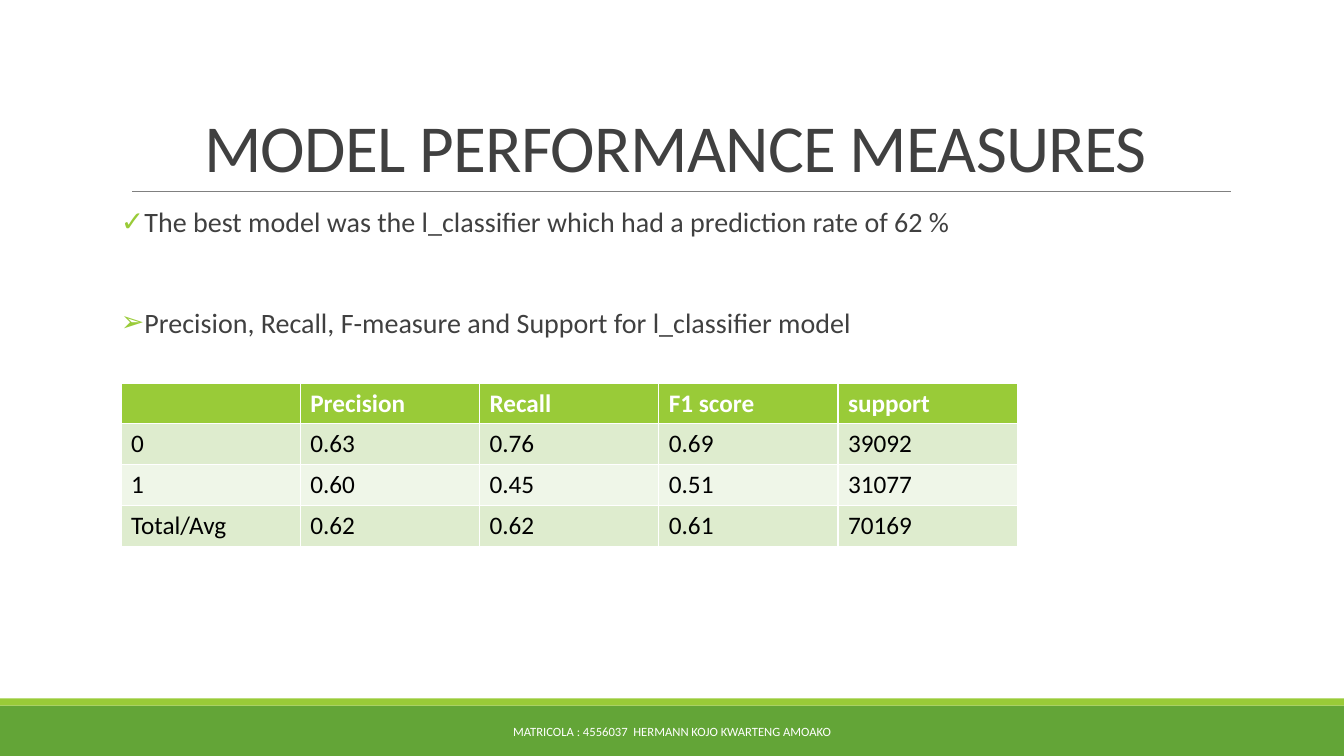
"""Build the model performance measures slide."""
import pptx
import pptx.dml.color
import pptx.enum.shapes
import pptx.enum.text
import pptx.oxml.ns
import pptx.util
import lxml.etree
from pptx.util import Inches

FONT = "Calibri"
COLORS = {
    "green": "63A537",
    "lime": "99CB38",
    "rule": "808080",
    "text": "404040",
    "white": "FFFFFF",
    "black": "000000",
    "band_dark": "DEECCE",
    "band_light": "EFF6E8",
}
BULLETS = [
    ("✓", "The best model was the l_classifier which had a prediction rate of 62 %", 12),
    ("➢", "Precision, Recall, F-measure and Support for l_classifier model", 48),
]
SCORES = [
    ["", "Precision", "Recall", "F1 score", "support"],
    ["0", "0.63", "0.76", "0.69", "39092"],
    ["1", "0.60", "0.45", "0.51", "31077"],
    ["Total/Avg", "0.62", "0.62", "0.61", "70169"],
]


def rgb(name):
    return pptx.dml.color.RGBColor.from_string(COLORS[name])


def add_xml(parent, tag, **attributes):
    return lxml.etree.SubElement(parent, pptx.oxml.ns.qn(tag), attributes)


def style(p, size, color, bold=False):
    for r in p.runs:
        r.font.name = FONT
        r.font.size = pptx.util.Pt(size)
        r.font.bold = bold
        r.font.color.rgb = rgb(color)


def place(sp, left, top, width, height):
    sp.left, sp.top = Inches(left), Inches(top)
    sp.width, sp.height = Inches(width), Inches(height)


def add_band(slide, top, height, color):
    sp = slide.shapes.add_shape(pptx.enum.shapes.MSO_SHAPE.RECTANGLE, 0,
                                Inches(top), Inches(13.33), Inches(height))
    sp.shadow.inherit = False
    sp.fill.solid()
    sp.fill.fore_color.rgb = rgb(color)
    sp.line.fill.background()


def add_rule(slide, left, right, y):
    line = slide.shapes.add_connector(pptx.enum.shapes.MSO_CONNECTOR.STRAIGHT,
                                      Inches(left), Inches(y), Inches(right), Inches(y))
    line.line.color.rgb = rgb("rule")
    line.line.width = pptx.util.Pt(0.5)
    add_xml(line._element.spPr, "a:effectLst")


def set_title(slide, text):
    sp = slide.shapes.title
    place(sp, 1.2, 0.31, 11, 1.59)
    tf = sp.text_frame
    tf.text = text
    tf.auto_size = pptx.enum.text.MSO_AUTO_SIZE.NONE
    tf.vertical_anchor = pptx.enum.text.MSO_ANCHOR.BOTTOM
    p = tf.paragraphs[0]
    p.alignment = pptx.enum.text.PP_ALIGN.CENTER
    p.line_spacing = 0.85
    style(p, 48, "text")
    p.runs[0]._r.get_or_add_rPr().set("spc", "-50")


def set_bullet(p, char):
    pPr = p._p.get_or_add_pPr()
    pPr.set("marL", str(Inches(0.1)))
    pPr.set("indent", str(Inches(-0.1)))
    add_xml(add_xml(pPr, "a:buClr"), "a:srgbClr", val=COLORS["lime"])
    add_xml(pPr, "a:buChar", char=char)


def set_bullets(slide, bullets):
    sp = slide.placeholders[1]
    place(sp, 1.2, 2.02, 11, 4.4)
    tf = sp.text_frame
    tf.text = "\n".join(text for _, text, _ in bullets)
    tf.auto_size = pptx.enum.text.MSO_AUTO_SIZE.NONE
    tf.margin_left = tf.margin_right = 0
    for p, (char, _, gap) in zip(tf.paragraphs, bullets):
        p.line_spacing = 0.9
        p.space_before = pptx.util.Pt(gap)
        p.space_after = pptx.util.Pt(2)
        set_bullet(p, char)
        style(p, 20, "text")


def add_footer(slide, text):
    sp = slide.shapes.add_textbox(Inches(4.03), Inches(7.06), Inches(5.27), Inches(0.4))
    tf = sp.text_frame
    tf.word_wrap = True
    tf.vertical_anchor = pptx.enum.text.MSO_ANCHOR.MIDDLE
    tf.text = text
    p = tf.paragraphs[0]
    p.alignment = pptx.enum.text.PP_ALIGN.CENTER
    style(p, 9, "white")


def add_scores(slide, rows):
    table = slide.shapes.add_table(len(rows), len(rows[0]), Inches(1.2), Inches(3.8),
                                   Inches(8.89), Inches(1.62)).table
    for i, row in enumerate(rows):
        header = i == 0
        fill = "lime" if header else "band_dark" if i % 2 else "band_light"
        for j, text in enumerate(row):
            cell = table.cell(i, j)
            cell.fill.solid()
            cell.fill.fore_color.rgb = rgb(fill)
            cell.text_frame.text = text
            style(cell.text_frame.paragraphs[0], 18, "white" if header else "black", header)


def main():
    prs = pptx.Presentation()
    prs.slide_width, prs.slide_height = Inches(13.33), Inches(7.5)
    slide = prs.slides.add_slide(prs.slide_layouts[1])
    add_band(slide, 7, 0.5, "green")
    add_band(slide, 6.93, 0.07, "lime")
    add_rule(slide, 1.31, 12.21, 1.9)
    set_title(slide, "MODEL PERFORMANCE MEASURES")
    set_bullets(slide, BULLETS)
    add_footer(slide, "MATRICOLA : 4556037  HERMANN KOJO KWARTENG AMOAKO")
    add_scores(slide, SCORES)
    prs.save("out.pptx")


main()
